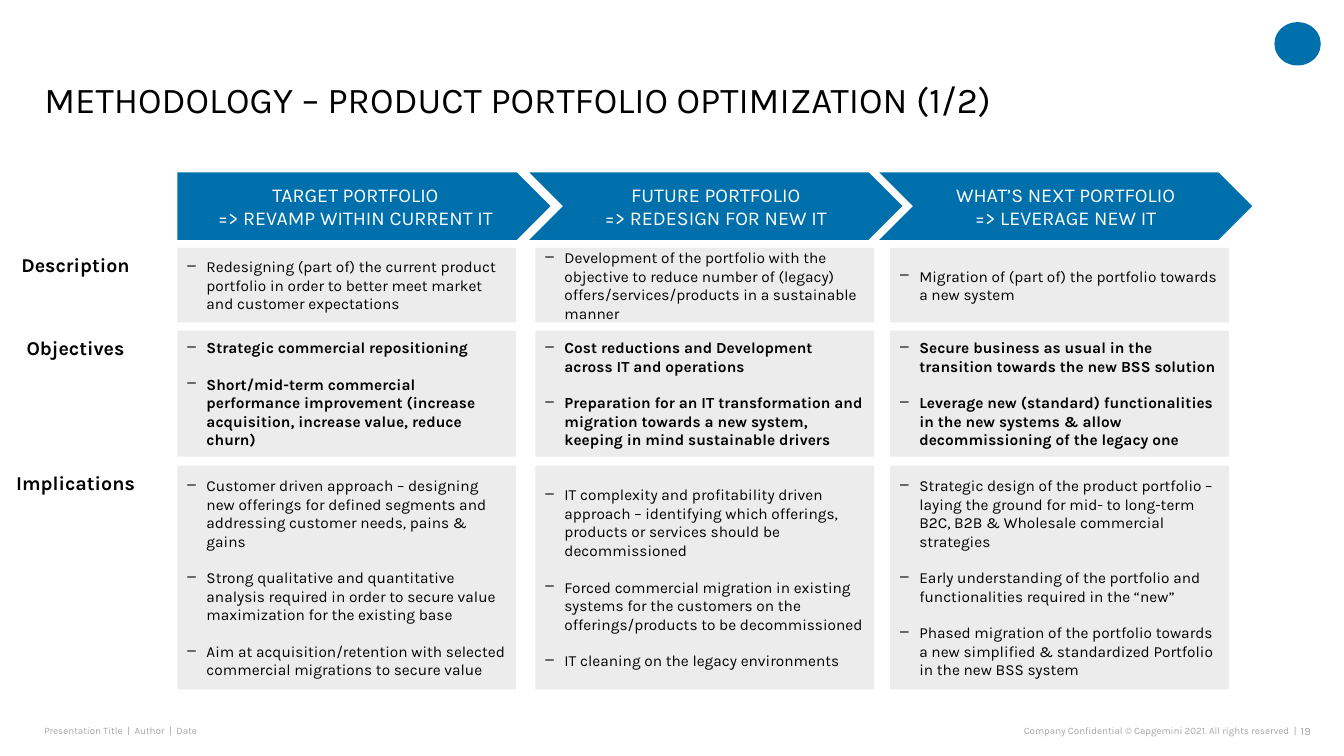
from lxml import etree
from pptx import Presentation
from pptx.dml.color import RGBColor
from pptx.enum.shapes import MSO_SHAPE as Shape
from pptx.enum.text import MSO_ANCHOR as Anchor, PP_ALIGN as Align
from pptx.oxml.ns import qn
from pptx.util import Inches, Pt

FONT = "Karla"
COLORS = {"blue": "0070AD", "panel": "ECECEC", "text": "000000",
          "white": "FFFFFF", "footer": "A6A6A6"}

STAGES = [
    (Shape.PENTAGON, 1.76, ["TARGET PORTFOLIO", "=> REVAMP WITHIN CURRENT IT"]),
    (Shape.CHEVRON, 5.25, ["FUTURE PORTFOLIO", "=> REDESIGN FOR NEW IT"]),
    (Shape.CHEVRON, 8.72, ["WHAT’S NEXT PORTFOLIO", "=> LEVERAGE NEW IT"]),
]
PANEL_LEFTS = [1.76, 5.31, 8.83]
PANEL_WIDTH = 3.36

# label, top, height, bold, bullets per stage
ROWS = [
    ("Description", 2.46, 0.74, False, [
        ["Redesigning (part of) the current product portfolio in order to better "
         "meet market and customer expectations"],
        ["Development of the portfolio with the objective to reduce number of "
         "(legacy) offers/services/products in a sustainable manner"],
        ["Migration of (part of) the portfolio towards a new system"],
    ]),
    ("Objectives", 3.28, 1.25, True, [
        ["Strategic commercial repositioning",
         "Short/mid-term commercial performance improvement (increase "
         "acquisition, increase value, reduce churn)"],
        ["Cost reductions and Development across IT and operations",
         "Preparation for an IT transformation and migration towards a new "
         "system, keeping in mind sustainable drivers"],
        ["Secure business as usual in the transition towards the new BSS solution",
         "Leverage new (standard) functionalities in the new systems & allow "
         "decommissioning of the legacy one"],
    ]),
    ("Implications", 4.62, 2.22, False, [
        ["Customer driven approach – designing new offerings for defined "
         "segments and addressing customer needs, pains & gains",
         "Strong qualitative and quantitative analysis required in order to "
         "secure value maximization for the existing base",
         "Aim at acquisition/retention with selected commercial migrations to "
         "secure value"],
        ["IT complexity and profitability driven approach – identifying which "
         "offerings, products or services should be decommissioned",
         "Forced commercial migration in existing systems for the customers on "
         "the offerings/products to be decommissioned",
         "IT cleaning on the legacy environments"],
        ["Strategic design of the product portfolio – laying the ground for "
         "mid- to long-term B2C, B2B & Wholesale commercial strategies",
         "Early understanding of the portfolio and functionalities required in "
         "the “new”",
         "Phased migration of the portfolio towards a new simplified & "
         "standardized Portfolio in the new BSS system"],
    ]),
]


def color(name):
    return RGBColor.from_string(COLORS[name])


def add_dash(paragraph):
    """Give the paragraph a hanging dash bullet."""
    properties = paragraph._p.get_or_add_pPr()
    properties.set("marL", str(Inches(0.19)))
    properties.set("indent", str(-Inches(0.19)))
    etree.SubElement(properties, qn("a:buChar")).set("char", "–")


def write(frame, lines, size, ink, align=Align.LEFT, anchor=Anchor.MIDDLE,
          bold=False, inset=True, dashed=False):
    """Fill a text frame with one paragraph per line."""
    frame.word_wrap = True
    frame.vertical_anchor = anchor
    if not inset:
        frame.margin_left = frame.margin_right = 0
        frame.margin_top = frame.margin_bottom = 0
    for index, line in enumerate(lines):
        paragraph = frame.paragraphs[0] if index == 0 else frame.add_paragraph()
        if dashed:
            add_dash(paragraph)
            if index:
                paragraph.space_before = Pt(13)
        paragraph.alignment = align
        run = paragraph.add_run()
        run.text = line
        run.font.name = FONT
        run.font.size = Pt(size)
        run.font.bold = bold
        run.font.color.rgb = color(ink)


def add_text(slide, box, text, size, ink, **options):
    frame = slide.shapes.add_textbox(*map(Inches, box)).text_frame
    write(frame, [text], size, ink, **options)
    return frame


def add_filled(slide, kind, box, fill):
    shape = slide.shapes.add_shape(kind, *map(Inches, box))
    shape.shadow.inherit = False
    shape.fill.solid()
    shape.fill.fore_color.rgb = color(fill)
    shape.line.fill.background()
    return shape


def add_header(slide, left, top, width, height):
    title = add_text(slide, (left, top, width, height),
                     "METHODOLOGY – PRODUCT PORTFOLIO OPTIMIZATION (1/2)",
                     26, "text", anchor=Anchor.BOTTOM, inset=False)
    title.paragraphs[0].line_spacing = 0.9
    add_filled(slide, Shape.OVAL, (left + 12.2, top - 0.2, 0.46, 0.43), "blue")


def add_stages(slide, top, width, height):
    for kind, left, lines in STAGES:
        arrow = add_filled(slide, kind, (left, top, width, height), "blue")
        write(arrow.text_frame, lines, 14, "white", align=Align.CENTER)


def add_row(slide, label_left, label_width, row):
    """Place a row label and its three panels."""
    label, top, height, bold, cells = row
    add_text(slide, (label_left, top, label_width, height), label, 14, "text",
             align=Align.CENTER, anchor=Anchor.TOP, bold=True)
    for left, bullets in zip(PANEL_LEFTS, cells):
        panel = add_filled(slide, Shape.RECTANGLE,
                           (left, top, PANEL_WIDTH, height), "panel")
        write(panel.text_frame, bullets, 11, "text", bold=bold, dashed=True)


def add_footer(slide, left, top, width, height):
    number_left = left + width - 0.25
    add_text(slide, (left, top, 3, height),
             "Presentation Title  |  Author  |  Date", 7, "footer", inset=False)
    add_text(slide, (number_left - 4.04, top, 4, height),
             "Company Confidential © Capgemini 2021. All rights reserved  |",
             7, "footer", align=Align.RIGHT, inset=False)
    add_text(slide, (number_left, top, 0.25, height), "19", 8, "footer",
             inset=False)


def main():
    deck = Presentation()
    deck.slide_width, deck.slide_height = Inches(13.33), Inches(7.5)
    slide = deck.slides.add_slide(deck.slide_layouts[6])
    add_header(slide, 0.44, 0.42, 11.97, 0.78)
    add_stages(slide, 1.71, 3.7, 0.67)
    for row in ROWS:
        add_row(slide, -0.12, 1.74, row)
    add_footer(slide, 0.44, 7.19, 12.71, 0.12)
    deck.save("out.pptx")


if __name__ == "__main__":
    main()
